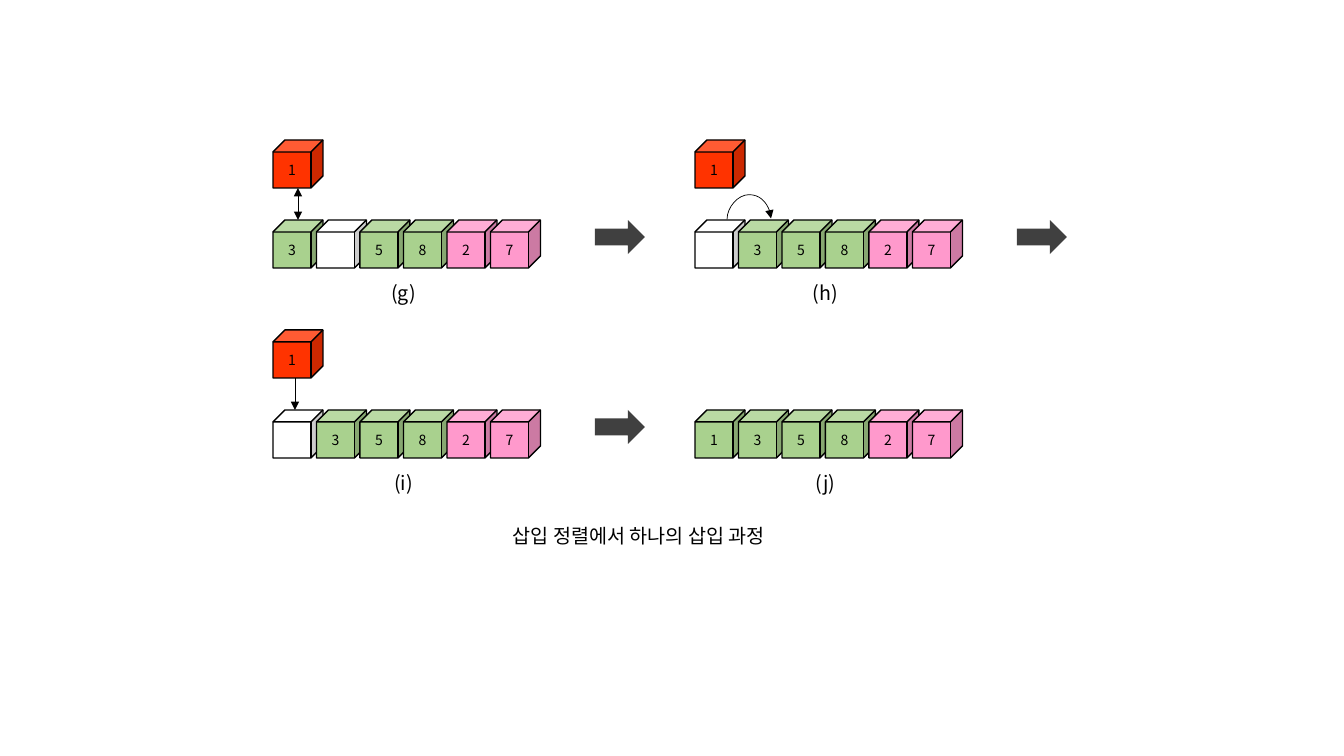
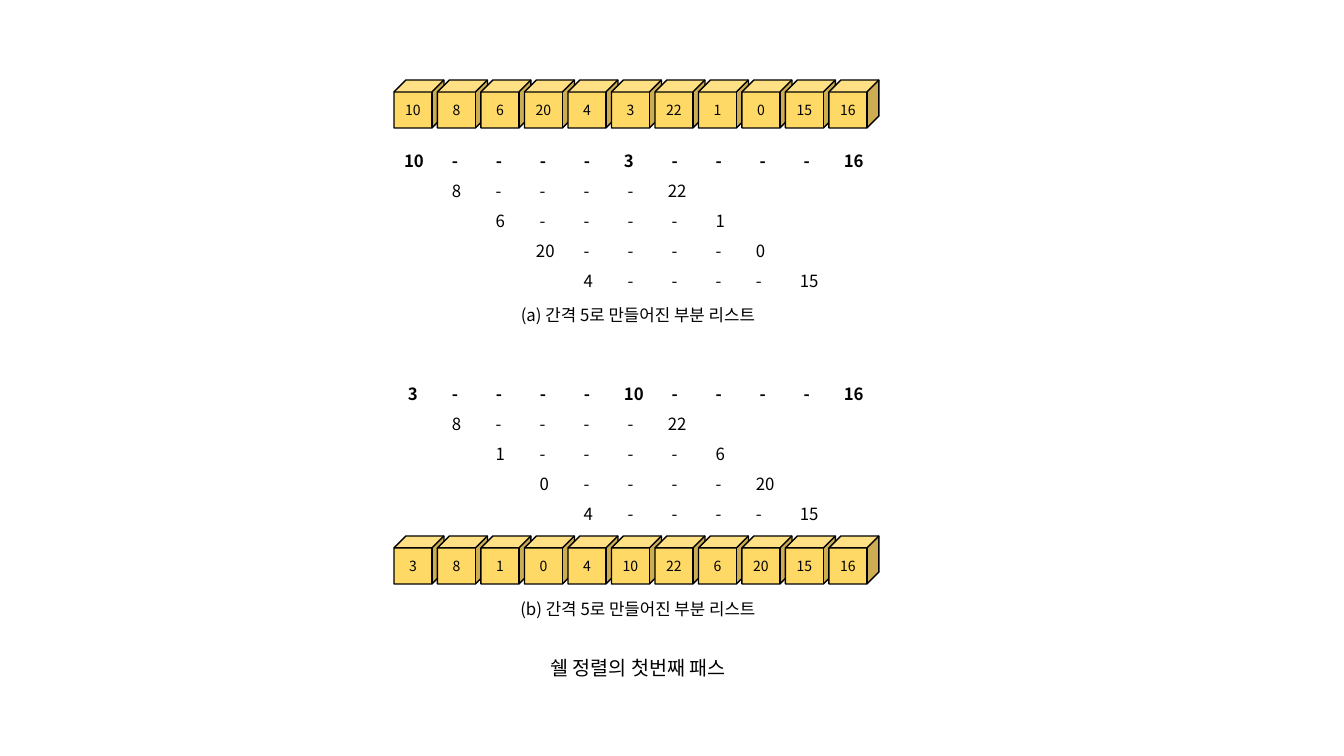
from lxml.etree import SubElement
from pptx import Presentation
from pptx.dml.color import RGBColor
from pptx.enum.shapes import MSO_CONNECTOR, MSO_SHAPE
from pptx.enum.text import MSO_ANCHOR, PP_ALIGN
from pptx.oxml.ns import qn
from pptx.util import Inches, Pt

FONT = "Noto Sans CJK KR"
BLACK = RGBColor(0, 0, 0)
WHITE = RGBColor(0xFF, 0xFF, 0xFF)
GREEN = RGBColor(0xA9, 0xD1, 0x8E)
PINK = RGBColor(0xFF, 0x99, 0xCC)
RED = RGBColor(0xFF, 0x33, 0x00)
YELLOW = RGBColor(0xFF, 0xD9, 0x66)
GRAY = RGBColor(0x40, 0x40, 0x40)

CUBE_W, CUBE_H, PITCH = 50, 48, 43.5
GAP, COLUMNS = 5, 11


def px(n):
    return round(n * 914400 / 100.8)


def add_run(p, text, size, bold=False):
    r = p.add_run()
    r.text = text
    r.font.name = FONT
    r.font.size = Pt(size)
    r.font.bold = bold
    r.font.color.rgb = BLACK
    SubElement(r.font._element, qn("a:ea"), typeface=FONT)


def centre_text(shape, text, size):
    tf = shape.text_frame
    tf.word_wrap = True
    tf.margin_left = tf.margin_right = tf.margin_top = tf.margin_bottom = 0
    tf.vertical_anchor = MSO_ANCHOR.MIDDLE
    p = tf.paragraphs[0]
    p.alignment = PP_ALIGN.CENTER
    add_run(p, text, size)


def add_caption(s, x, y, w, h, text, size):
    centre_text(s.shapes.add_textbox(px(x), px(y), px(w), px(h)), text, size)


def add_solid(s, kind, x, y, w, h, fill):
    sp = s.shapes.add_shape(kind, px(x), px(y), px(w), px(h))
    sp.shadow.inherit = False
    sp.fill.solid()
    sp.fill.fore_color.rgb = fill
    return sp


def add_cube(s, x, y, text, fill):
    sp = add_solid(s, MSO_SHAPE.CUBE, x, y, CUBE_W, CUBE_H, fill)
    sp.line.color.rgb = BLACK
    sp.line.width = Pt(1)
    if text:
        centre_text(sp, text, 10)


def add_cubes(s, x, y, values, fills):
    for i, (value, fill) in enumerate(zip(values, fills)):
        add_cube(s, x + i * PITCH, y, value, fill)


def add_block_arrow(s, x, y):
    add_solid(s, MSO_SHAPE.RIGHT_ARROW, x, y, 50, 34, GRAY).line.fill.background()


def add_arrow(s, x1, y1, x2, y2, kind=MSO_CONNECTOR.STRAIGHT, both=False):
    line = s.shapes.add_connector(kind, px(x1), px(y1), px(x2), px(y2))
    line.line.color.rgb = BLACK
    line.line.width = Pt(0.5)
    ln = line.line._get_or_add_ln()
    if both:
        SubElement(ln, qn("a:headEnd"), type="triangle")
    SubElement(ln, qn("a:tailEnd"), type="triangle")
    SubElement(line._element.spPr, qn("a:effectLst"))
    return line


def add_hop(s, x, y, span, rise):
    mid = x + span / 2
    hop = add_arrow(s, mid + 0.5, y + span / 2, mid - 0.5, y - span / 2,
                    MSO_CONNECTOR.CURVE)
    sp_pr = hop._element.spPr
    sp_pr.find(qn("a:xfrm")).set("rot", str(90 * 60000))
    guides = sp_pr.find(qn("a:prstGeom")).find(qn("a:avLst"))
    SubElement(guides, qn("a:gd"), name="adj1", fmla=f"val {rise * 100000}")


def sublist_texts(row, values):
    texts = [""] * COLUMNS
    last = row + GAP * (len(values) - 1)
    texts[row:last] = [" -"] * (last - row)
    texts[row:last + 1:GAP] = values
    if row == GAP - 1:
        texts[last - 1] = "-"
    return texts


def add_sublists(s, x, y, sublists):
    table = s.shapes.add_table(len(sublists), COLUMNS, px(x), px(y),
                               px(485), px(150)).table
    table.first_row = table.horz_banding = False
    for column in table.columns:
        column.width = px(44)
    for i, values in enumerate(sublists):
        table.rows[i].height = px(30)
        for cell, text in zip(table.rows[i].cells, sublist_texts(i, values)):
            cell.fill.background()
            cell.margin_top, cell.margin_bottom = Inches(0.05), 0
            p = cell.text_frame.paragraphs[0]
            if text:
                add_run(p, text, 12, bold=i == 0)
            else:
                SubElement(p._p, qn("a:endParaRPr"), sz="1200")


def add_step(s, x, y, label, values, fills, held=None):
    add_cubes(s, x, y, values, fills + [PINK] * 2)
    add_caption(s, x + 17, y + 56, 227, 34, label, 14)
    if held:
        add_cube(s, x, y - 80, held, RED)


def insertion_slide(prs):
    s = prs.slides.add_slide(prs.slide_layouts[6])
    left, right, top, bottom = 273, 695, 220, 410
    add_step(s, left, top, "(g)", ["3", "", "5", "8", "2", "7"],
             [GREEN, WHITE, GREEN, GREEN], "1")
    add_step(s, right, top, "(h)", ["", "3", "5", "8", "2", "7"],
             [WHITE] + [GREEN] * 3, "1")
    add_step(s, left, bottom, "(i)", ["", "3", "5", "8", "2", "7"],
             [WHITE] + [GREEN] * 3, "1")
    add_step(s, right, bottom, "(j)", ["1", "3", "5", "8", "2", "7"], [GREEN] * 4)
    for x, y in ((left, top), (right, top), (left, bottom)):
        add_block_arrow(s, x + 322, y)
    add_arrow(s, 298, 188, 298, top, both=True)
    add_arrow(s, 295, 378, 295, bottom)
    add_hop(s, 727, 219, 44, 25)
    add_caption(s, 273, 519, 732, 34, "삽입 정렬에서 하나의 삽입 과정", 14)


def shell_slide(prs):
    s = prs.slides.add_slide(prs.slide_layouts[6])
    fills = [YELLOW] * COLUMNS
    add_cubes(s, 394, 80, "10 8 6 20 4 3 22 1 0 15 16".split(), fills)
    add_sublists(s, 394, 143, [["10", "3", "16"], [" 8", "22"], [" 6", " 1"],
                               ["20", "0"], [" 4", "15"]])
    add_caption(s, 272, 300, 732, 30, "(a) 간격 5로 만들어진 부분 리스트", 12)
    add_sublists(s, 394, 376, [[" 3", "10", "16"], [" 8", "22"], [" 1", " 6"],
                               [" 0", "20"], [" 4", "15"]])
    add_cubes(s, 394, 536, "3 8 1 0 4 10 22 6 20 15 16".split(), fills)
    add_caption(s, 272, 594, 732, 30, "(b) 간격 5로 만들어진 부분 리스트", 12)
    add_caption(s, 272, 651, 732, 34, "쉘 정렬의 첫번째 패스", 14)


def main():
    prs = Presentation()
    prs.slide_width, prs.slide_height = px(1344), px(756)
    insertion_slide(prs)
    shell_slide(prs)
    prs.save("out.pptx")


main()
